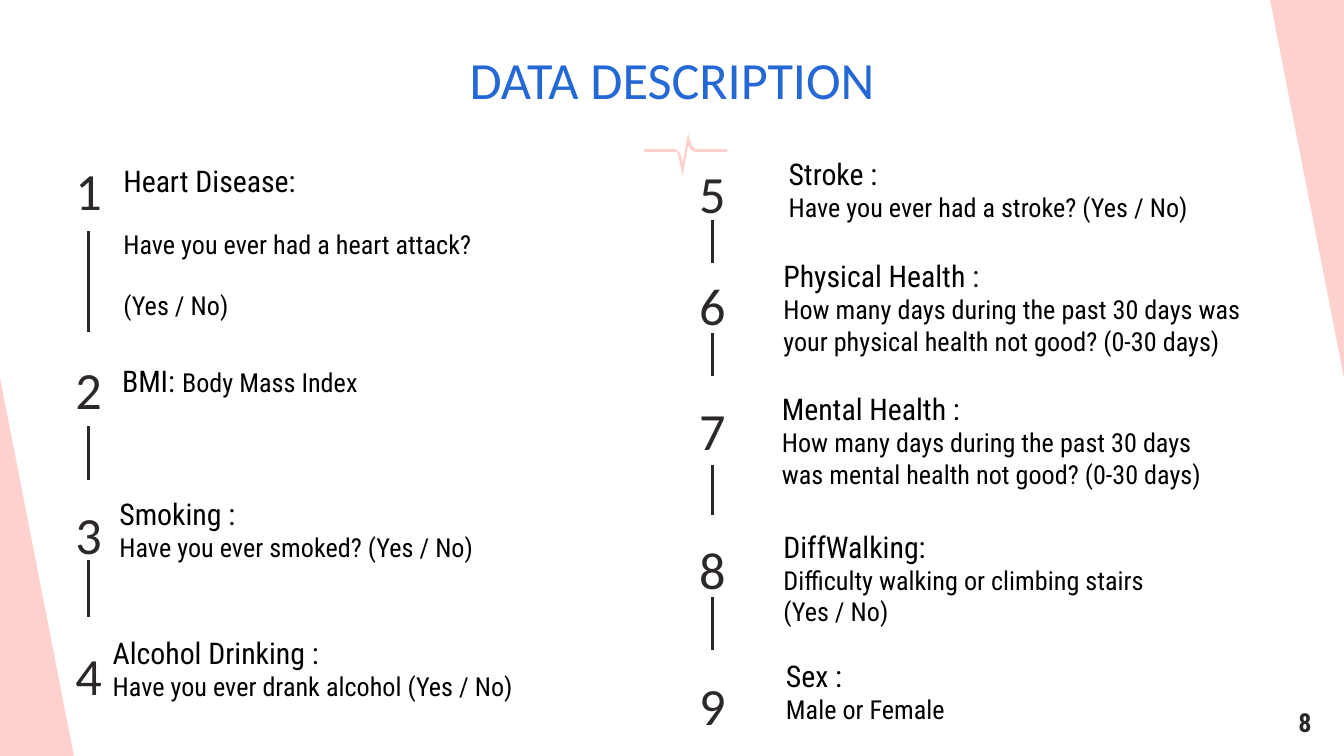
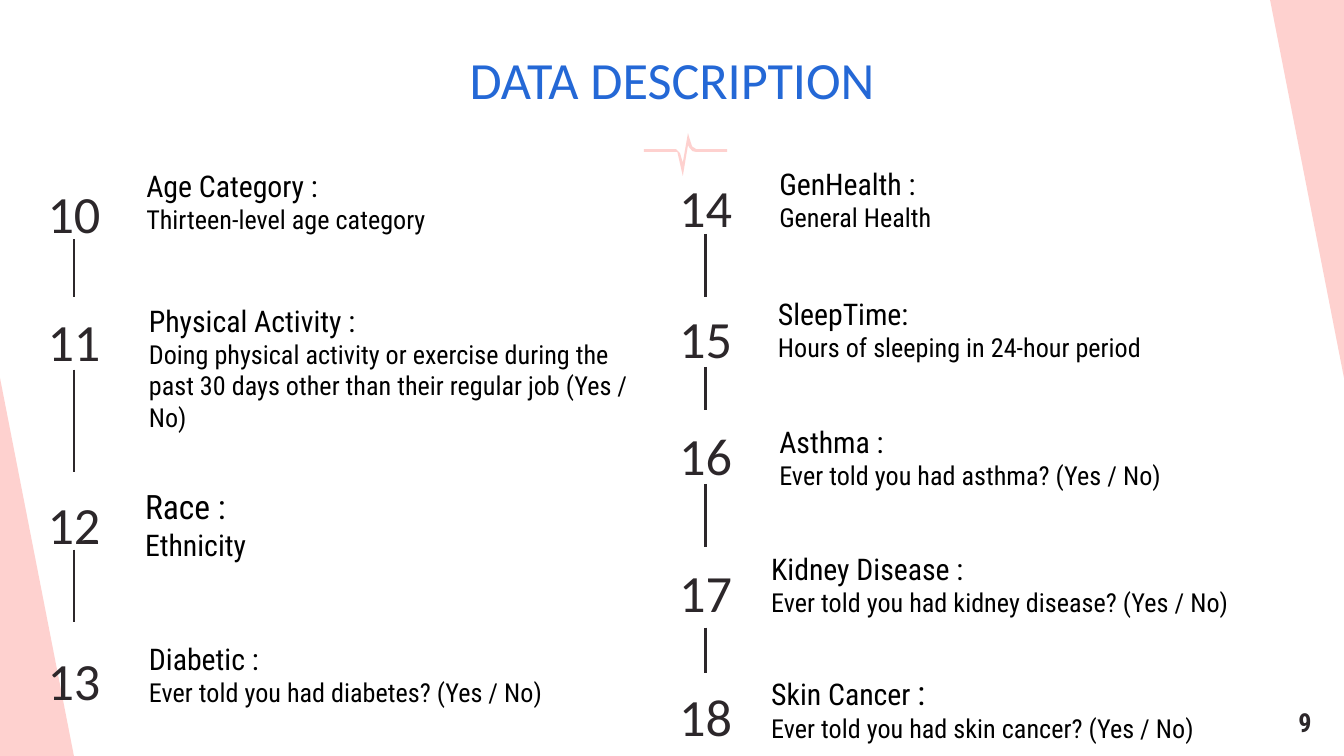
from pptx import Presentation
from pptx.dml.color import RGBColor
from pptx.enum.shapes import MSO_CONNECTOR
from pptx.enum.text import MSO_ANCHOR, PP_ALIGN
from pptx.oxml.ns import qn
from pptx.util import Pt
from lxml.etree import SubElement

PINK = RGBColor(0xFE, 0xD1, 0xCF)
BLUE = RGBColor(0x24, 0x68, 0xD6)
DARK = RGBColor(0x2C, 0x27, 0x2A)
BLACK = RGBColor(0, 0, 0)
WHITE = RGBColor(255, 255, 255)
HEAD = "Calibri"
BODY = "Roboto Condensed"

WIDE, HIGH = 720, 405
MID = HIGH / 2
BAND = 39.6
PULSE = [
    (368.6, 71.3), (365.8, 87.1), (364.3, 82.1), (362.2, 79.9),
    (344.9, 79.9), (344.9, 81.4), (362.9, 81.4), (365.8, 94.3),
    (368.6, 77.8), (369.4, 79.2), (371, 81), (373, 81.4),
    (389.5, 81.4), (389.5, 79.9), (373, 79.9), (370.8, 78.5),
    (369.4, 74.2),
]
MARKS = [
    [(0, MID), (BAND, HIGH), (0, HIGH)],
    [(WIDE - BAND, 0), (WIDE, 0), (WIDE, MID)],
    PULSE,
]

# Row: number, number top, link to next, text box, paragraphs of (text, size)
SLIDES = [
    {"page": "8", "cols": [
        {"mid": 47.4, "rows": [
            ("1", 72.7, (123.8, 177.8), (59, 79.9, 202.3, 90),
             [[("Heart Disease:", 16)],
              [("Have you ever had a heart attack?", 14)],
              [("(Yes / No)", 14)]]),
            ("2", 179.3, (228.2, 257), (58.3, 187.2, 141.8, 41.8),
             [[("BMI: ", 16), ("Body Mass Index", 14)]]),
            ("3", 257, (300.2, 330.5), (56.9, 258.5, 212.4, 49),
             [[("Smoking :", 16)],
              [("Have you ever smoked? (Yes / No)", 14)]]),
            ("4", 332.6, None, (53.3, 332.6, 234, 40.3),
             [[("Alcohol Drinking :", 16)],
              [("Have you ever drank alcohol (Yes / No)", 14)]]),
        ]},
        {"mid": 381.6, "rows": [
            ("5", 74.2, (118.1, 141.1), (415.4, 76.3, 275.8, 41.8),
             [[("Stroke :", 16)],
              [("Have you ever had a stroke? (Yes / No)", 14)]]),
            ("6", 133.9, (178.6, 201.6), (412.6, 131, 278.6, 74.2),
             [[("Physical Health :", 16)],
              [("How many days during the past 30 days was your "
                "physical health not good? (0-30 days)", 14)]]),
            ("7", 200.9, (249.1, 275.8), (411.8, 202.3, 250.6, 74.2),
             [[("Mental Health :", 16)],
              [("How many days during the past 30 days was "
                "mental health not good? (0-30 days)", 14)]]),
            ("8", 275.8, (319.7, 348.5), (412.6, 275.8, 234.7, 41.8),
             [[("DiffWalking:", 16)],
              [("Difficulty walking or climbing stairs (Yes / No)", 14)]]),
            ("9", 348.5, None, (414, 344.9, 126.7, 41),
             [[("Sex :", 16)], [("Male or Female", 14)]]),
        ]},
    ]},
    {"page": "9", "cols": [
        {"mid": 39.6, "rows": [
            ("10", 85, (128.2, 159.1), (71.3, 82.8, 168.5, 48.2),
             [[("Age Category :", 16)],
              [("Thirteen-level age category", 14)]]),
            ("11", 153.4, (198, 252.7), (72.7, 154.8, 275.8, 41.8),
             [[("Physical Activity :", 16)],
              [("Doing physical activity or exercise during the past "
                "30 days other than their regular job (Yes / No)", 14)]]),
            ("12", 251.3, (294.5, 333.4), (70.6, 253.4, 159.1, 55.4),
             [[("Race :", 18)], [("Ethnicity", 16)]]),
            ("13", 334.8, None, (72.7, 336.2, 250.6, 74.2),
             [[("Diabetic :", 16)],
              [("Ever told you had diabetes? (Yes / No)", 14)]]),
        ]},
        {"mid": 378, "rows": [
            ("14", 81.4, (125.3, 159.1), (410.4, 81.4, 234.7, 41.8),
             [[("GenHealth :", 16)], [("General Health", 14)]]),
            ("15", 151.9, (196.6, 219.6), (409.7, 151.2, 278.6, 51.8),
             [[("SleepTime:", 16)],
              [("Hours of sleeping in 24-hour period", 14)]]),
            ("16", 214.6, (259.2, 293), (410.4, 219.6, 229, 51.1),
             [[("Asthma :", 16)],
              [("Ever told you had asthma? (Yes / No)", 14)]]),
            ("17", 288, (336.2, 360.7), (406.1, 288, 275.8, 41.8),
             [[("Kidney Disease :", 16)],
              [("Ever told you had kidney disease? (Yes / No)", 14)]]),
            ("18", 354.2, None, (406.1, 352.8, 278.6, 48.2),
             [[("Skin Cancer ", 16), (":", 18)],
              [("Ever told you had skin cancer? (Yes / No)", 14)]]),
        ]},
    ]},
]
NUM_W, NUM_H = 63.4, 35.3


def add_text(slide, box, paras, font, color, align=PP_ALIGN.LEFT,
             bold=False, gap=0, lead=1.0, anchor=MSO_ANCHOR.TOP):
    frame = slide.shapes.add_textbox(*map(Pt, box)).text_frame
    frame.word_wrap = True
    frame.vertical_anchor = anchor
    frame.margin_left = frame.margin_right = Pt(7.2)
    frame.margin_top = frame.margin_bottom = Pt(7.2)
    for i, runs in enumerate(paras):
        para = frame.add_paragraph() if i else frame.paragraphs[0]
        para.alignment = align
        para.space_after = Pt(gap)
        para.line_spacing = lead
        for text, size in runs:
            run = para.add_run()
            run.text = text
            run.font.size = Pt(size)
            run.font.name = font
            run.font.bold = bold
            run.font.color.rgb = color


def add_mark(slide, points):
    dots = [(Pt(x), Pt(y)) for x, y in points]
    pen = slide.shapes.build_freeform(*dots[0], scale=1.0)
    pen.add_line_segments(dots[1:], close=True)
    shape = pen.convert_to_shape()
    shape.shadow.inherit = False
    shape.fill.solid()
    shape.fill.fore_color.rgb = PINK
    shape.line.fill.background()


def add_link(slide, x, top, end):
    line = slide.shapes.add_connector(
        MSO_CONNECTOR.STRAIGHT, Pt(x), Pt(top), Pt(x), Pt(end))
    line.line.color.rgb = DARK
    line.line.width = Pt(1.5)
    SubElement(line._element.spPr, qn("a:effectLst"))


def add_frame(slide, page):
    slide.background.fill.solid()
    slide.background.fill.fore_color.rgb = WHITE
    for points in MARKS:
        add_mark(slide, points)
    add_text(slide, (0, 18, WIDE, 33.1), [[("DATA DESCRIPTION", 28)]],
             HEAD, BLUE, PP_ALIGN.CENTER)
    add_text(slide, (683.3, 375.8, 31.7, 22.3), [[(page, 14)]],
             BODY, DARK, PP_ALIGN.CENTER, bold=True,
             anchor=MSO_ANCHOR.MIDDLE)


def add_row(slide, mid, row):
    num, top, link, box, paras = row
    add_text(slide, (mid - NUM_W / 2, top, NUM_W, NUM_H), [[(num, 28)]],
             HEAD, DARK, PP_ALIGN.CENTER, gap=16, lead=1.15)
    if link:
        add_link(slide, mid, *link)
    add_text(slide, box, paras, BODY, BLACK, gap=16 if len(paras) > 2 else 0)


def main():
    deck = Presentation()
    deck.slide_width, deck.slide_height = Pt(WIDE), Pt(HIGH)
    for data in SLIDES:
        slide = deck.slides.add_slide(deck.slide_layouts[6])
        add_frame(slide, data["page"])
        for col in data["cols"]:
            for row in col["rows"]:
                add_row(slide, col["mid"], row)
    deck.save("out.pptx")


if __name__ == "__main__":
    main()
